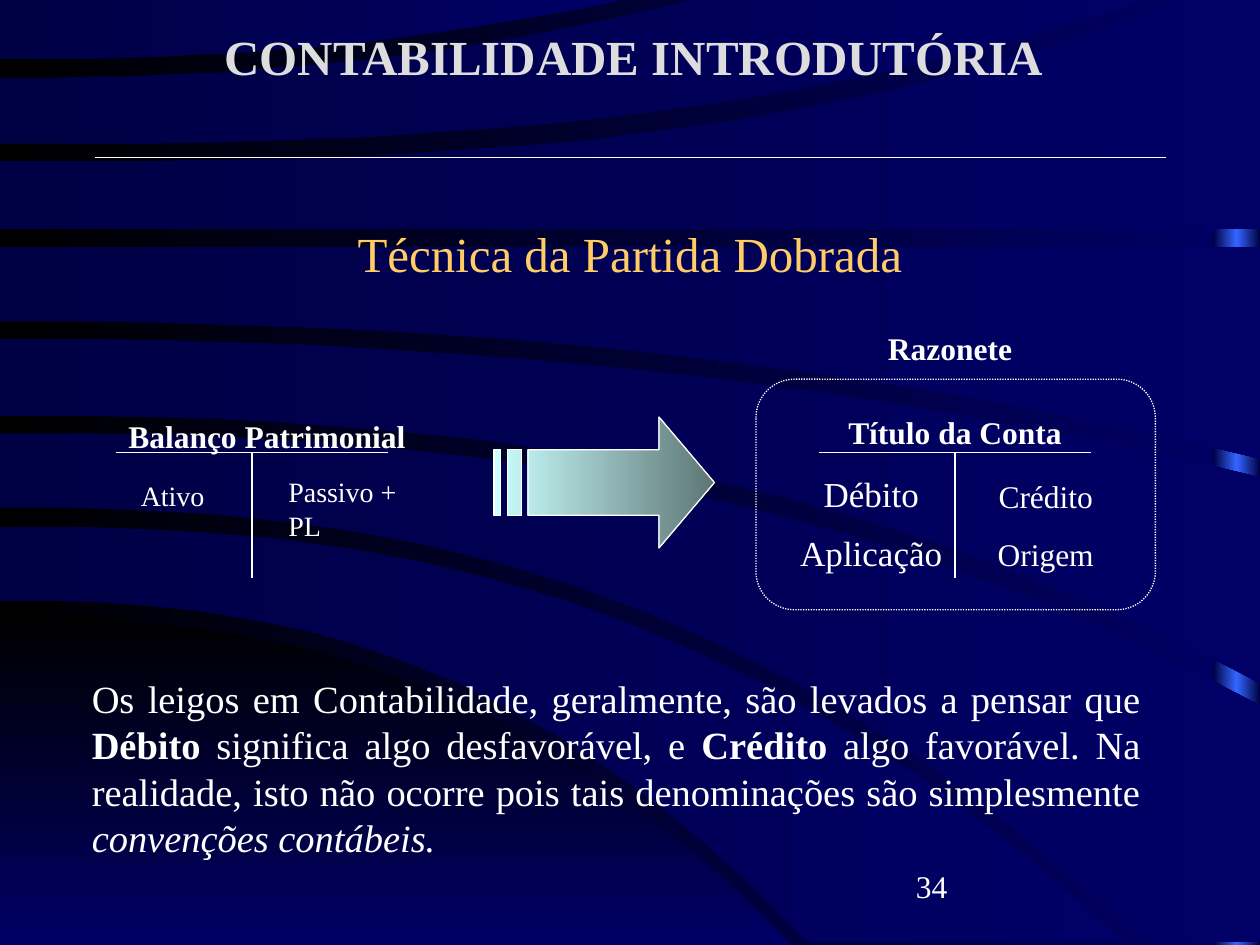
from copy import deepcopy
from dataclasses import dataclass
from typing import NamedTuple

from lxml import etree
from pptx import Presentation
from pptx import util as u
from pptx.dml.color import RGBColor
from pptx.enum import dml, shapes, text
from pptx.oxml.ns import qn

COLUMNS, ROWS = 1000, 750
CELL = u.Inches(10) // COLUMNS
STEPS = 16


@dataclass(frozen=True)
class Theme:
    font: str = "Times New Roman"
    white: str = "FFFFFF"
    heading: str = "DDDDDD"
    accent: str = "FFCC66"
    night: tuple = ("000000", "000066")
    band: tuple = ("000044", "000066")
    stripe: tuple = ("000044", "3366FF", "000044")
    arrow: tuple = ("CCFFFF", "5E7676")
    large: int = 28
    body: int = 22
    medium: int = 20
    label: int = 18
    small: int = 16
    gap: int = 9
    line: float = 0.75


THEME = Theme()
LEFT, CENTER, JUSTIFY = text.PP_ALIGN.LEFT, text.PP_ALIGN.CENTER, text.PP_ALIGN.JUSTIFY


class Area(NamedTuple):
    left: int
    top: int
    width: int
    height: int

    def emu(self) -> list:
        return [u.Emu(cells * CELL) for cells in self]


class Edge(NamedTuple):
    start: int
    end: int
    run: int = COLUMNS
    power: float = 2.5

    def points(self) -> list:
        shares = [step / STEPS for step in range(STEPS + 1)]
        return [(self.run * share, self.start + (self.end - self.start) * share ** self.power)
                for share in shares]


class Wave(NamedTuple):
    upper: Edge
    lower: Edge

    def points(self) -> list:
        shorter, longer = sorted(self, key=lambda edge: edge.run)
        corner = (longer.run, shorter.end)
        return [*self.upper.points(), corner, *reversed(self.lower.points())]


class Span(NamedTuple):
    words: str
    bold: bool = False
    italic: bool = False


class Label(NamedTuple):
    area: Area
    spans: tuple
    size: int = THEME.label
    align: int = CENTER
    before: int = 0
    color: str = THEME.white
    grow: bool = True
    anchor: int = text.MSO_ANCHOR.TOP


CORNER = Wave(Edge(491, ROWS, 628), Edge(ROWS, ROWS, 628))
WAVES = (
    Wave(Edge(418, 748, 893), Edge(477, 748, 642)),
    Wave(Edge(344, 560), Edge(403, 748, 909)),
    Wave(Edge(269, 379, power=2.2), Edge(330, 542)),
    Wave(Edge(196, 196), Edge(255, 364, power=2.25)),
    Wave(Edge(128, -2, 943, 2.9), Edge(182, 182)),
    Wave(Edge(62, -2, 556, 2.3), Edge(114, -2, 917, 2.65)),
    Wave(Edge(-2, -2, 501), Edge(47, -2, 501, 2.25)),
)

TITLE = Label(Area(78, 16, 850, 125), (Span("CONTABILIDADE INTRODUTÓRIA", True),),
              THEME.large, color=THEME.heading, grow=False)
LABELS = (
    Label(Area(717, 683, 208, 50), (Span("34"),), align=LEFT, grow=False),
    Label(Area(75, 172, 850, 57), (Span("Técnica da Partida Dobrada"),), THEME.large,
          before=THEME.gap, color=THEME.accent, anchor=text.MSO_ANCHOR.MIDDLE),
    Label(Area(92, 326, 258, 40), (Span("Balanço Patrimonial", True),), align=LEFT),
    Label(Area(102, 375, 73, 37), (Span("Ativo"),), THEME.small, LEFT, THEME.gap),
    Label(Area(219, 372, 109, 63), (Span("Passivo + PL"),), THEME.small, LEFT, THEME.gap),
    Label(Area(625, 256, 258, 40), (Span("Razonete", True),)),
    Label(Area(658, 323, 200, 40), (Span("Título da Conta", True),)),
    Label(Area(63, 531, 852, 172), (
        Span("Os leigos em Contabilidade, geralmente, são levados a pensar que "),
        Span("Débito", True),
        Span(" significa algo desfavorável, e "),
        Span("Crédito", True),
        Span(" algo favorável. Na realidade, isto não ocorre pois tais denominações "
             "são simplesmente "),
        Span("convenções contábeis.", italic=True),
    ), THEME.body, JUSTIFY, grow=False),
)
ENTRIES = (("Débito", "Crédito"), ("Aplicação", "Origem"))


def apply(target, values: dict) -> None:
    for name, value in values.items():
        setattr(target, name, value)


def gradient(fill, holder, colors: tuple, angle: int = 0) -> None:
    fill.gradient()
    fill.gradient_angle = angle
    stops = holder.find(".//" + qn("a:gsLst"))
    for _ in colors[2:]:
        stops.append(deepcopy(stops[0]))
    for index, (stop, color) in enumerate(zip(fill.gradient_stops, colors)):
        stop.position = index / (len(colors) - 1)
        stop.color.rgb = RGBColor.from_string(color)


def outline(line) -> None:
    line.color.rgb = RGBColor.from_string(THEME.white)
    line.width = u.Pt(THEME.line)


def draw_outline(page, contours: list, colors: tuple, angle: int = 0):
    builder = page.shapes.build_freeform(*contours[0][0], scale=CELL)
    for index, points in enumerate(contours):
        if index:
            builder.move_to(*points[0])
        builder.add_line_segments(points[1:], close=True)
    shape = builder.convert_to_shape()
    shape.shadow.inherit = False
    gradient(shape.fill, shape.element.spPr, colors, angle)
    shape.line.fill.background()
    return shape


def draw_line(page, *ends: int) -> None:
    line = page.shapes.add_connector(
        shapes.MSO_CONNECTOR.STRAIGHT, *(u.Emu(cells * CELL) for cells in ends))
    outline(line.line)
    etree.SubElement(line.element.spPr, qn("a:effectLst"))


def draw_account(page, left: int, top: int = 359, width: int = 216, height: int = 100) -> None:
    middle = left + width // 2
    draw_line(page, left, top, left + width, top)
    draw_line(page, middle, top, middle, top + height)


def draw_arrow(page, middle: int = 383, half: int = 26) -> None:
    top, bottom = middle - half, middle + half
    neck, tip = 523, 567
    head = [(neck, middle - 2 * half), (neck, top), (419, top), (419, bottom),
            (neck, bottom), (neck, middle + 2 * half), (tip, middle)]
    bars = [[(left, top), (left, bottom), (right, bottom), (right, top)]
            for left, right in ((403, 414), (392, 397))]
    arrow = draw_outline(page, [head, *bars], THEME.arrow)
    outline(arrow.line)


def write(box, label: Label) -> None:
    apply(box, dict(zip(("left", "top", "width", "height"), label.area.emu())))
    sizing = text.MSO_AUTO_SIZE
    apply(box.text_frame, {
        "word_wrap": True,
        "vertical_anchor": label.anchor,
        "auto_size": sizing.SHAPE_TO_FIT_TEXT if label.grow else sizing.NONE,
    })
    para = box.text_frame.paragraphs[0]
    apply(para, {"alignment": label.align, "space_before": u.Pt(label.before)})
    for part in label.spans:
        span = para.add_run()
        span.text = part.words
        apply(span.font, {"name": THEME.font, "size": u.Pt(label.size),
                          "bold": part.bold, "italic": part.italic})
        span.font.color.rgb = RGBColor.from_string(label.color)


def draw_backdrop(page) -> None:
    gradient(page.background.fill, page.element, THEME.night)
    stripe = page.shapes.add_shape(
        shapes.MSO_SHAPE.RECTANGLE, *Area(963, 0, 37, ROWS).emu())
    stripe.shadow.inherit = False
    gradient(stripe.fill, stripe.element.spPr, THEME.stripe)
    stripe.line.fill.background()
    draw_outline(page, [CORNER.points()], THEME.night, 270)
    for wave in WAVES:
        draw_outline(page, [wave.points()], THEME.band)
    draw_line(page, 75, 125, 925, 125)


def draw_diagram(page) -> None:
    for left in (92, 650):
        draw_account(page, left)
    draw_arrow(page)
    frame = page.shapes.add_shape(
        shapes.MSO_SHAPE.ROUNDED_RECTANGLE, *Area(600, 301, 317, 183).emu())
    frame.shadow.inherit = False
    frame.fill.background()
    outline(frame.line)
    frame.line.dash_style = dml.MSO_LINE.ROUND_DOT


def main() -> None:
    deck = Presentation()
    apply(deck, {"slide_width": COLUMNS * CELL, "slide_height": ROWS * CELL})
    page = deck.slides.add_slide(deck.slide_layouts[5])
    draw_backdrop(page)
    title = page.shapes.title
    page.shapes.element.append(title.element)
    write(title, TITLE)
    draw_diagram(page)
    entries = [
        Label(area, (Span(words),), size, before=THEME.gap)
        for row, pair in enumerate(ENTRIES)
        for words, area, size in zip(
            pair, (Area(625, 370 + 47 * row, 133, 43), Area(777, 374 + 46 * row, 106, 40)),
            (THEME.medium, THEME.label))
    ]
    for label in (*LABELS, *entries):
        write(page.shapes.add_textbox(*label.area.emu()), label)
    deck.save("out.pptx")


if __name__ == "__main__":
    main()
